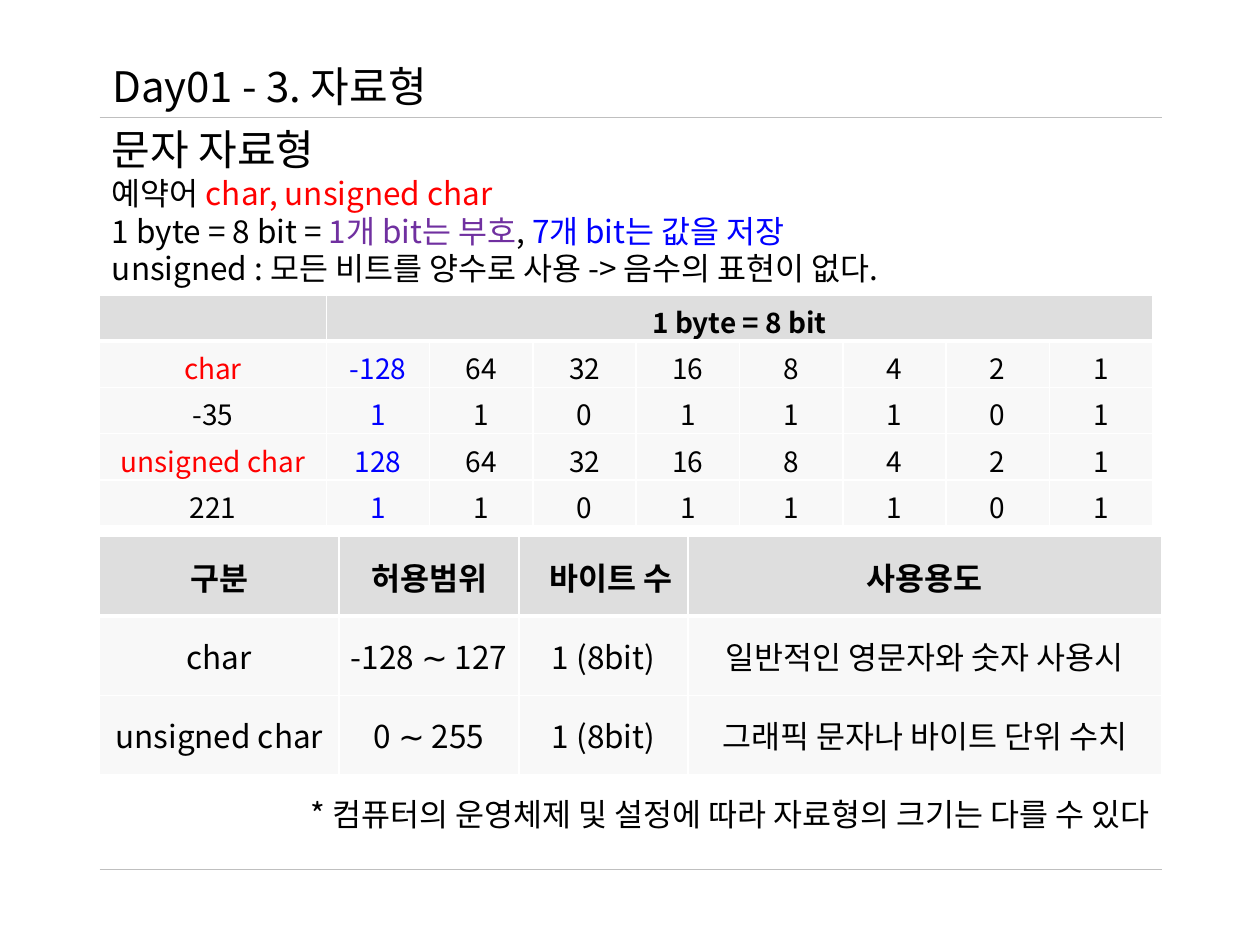
from lxml import etree
from pptx import Presentation
from pptx.dml.color import RGBColor
from pptx.enum.shapes import MSO_CONNECTOR
from pptx.enum.text import MSO_ANCHOR, PP_ALIGN
from pptx.oxml.ns import qn
from pptx.util import Inches, Pt

FONT = "Noto Sans CJK KR"
BLACK = RGBColor(0x00, 0x00, 0x00)
RED = RGBColor(0xFF, 0x00, 0x00)
BLUE = RGBColor(0x00, 0x00, 0xFF)
PURPLE = RGBColor(0x70, 0x30, 0xA0)
WHITE = RGBColor(0xFF, 0xFF, 0xFF)
GRAY = RGBColor(0xBF, 0xBF, 0xBF)
LIGHT_GRAY = RGBColor(0xF2, 0xF2, 0xF2)
LEFT, CENTER, RIGHT = PP_ALIGN.LEFT, PP_ALIGN.CENTER, PP_ALIGN.RIGHT
TOP, MIDDLE = MSO_ANCHOR.TOP, MSO_ANCHOR.MIDDLE
STRAIGHT = MSO_CONNECTOR.STRAIGHT

# Content
TITLE = "Day01 - 3. 자료형"
HEADING = "문자 자료형"
BODY = [
    [("예약어 ", BLACK), ("char, unsigned char", RED)],
    [("1 byte = 8 bit = ", BLACK), ("1개 bit는 부호", PURPLE),
     (", ", BLACK), ("7개 bit는 값을 저장", BLUE)],
    [("unsigned : 모든 비트를 양수로 사용 -> 음수의 표현이 없다.", BLACK)],
]
FOOTNOTE = "* 컴퓨터의 운영체제 및 설정에 따라 자료형의 크기는 다를 수 있다"
BITS = [1, 1, 0, 1, 1, 1, 0, 1]
WEIGHTS = [64, 32, 16, 8, 4, 2, 1]
BIT_ROWS = [
    ["", "1 byte = 8 bit"] + [""] * 7,
    ["char", -128] + WEIGHTS,
    [-35] + BITS,
    ["unsigned char", 128] + WEIGHTS,
    [221] + BITS,
]
RANGE_ROWS = [
    ["구분", "허용범위", "바이트 수", "사용용도"],
    ["char", "-128 ∼ 127", "1 (8bit)", "일반적인 영문자와 숫자 사용시"],
    ["unsigned char", "0 ∼ 255", "1 (8bit)", "그래픽 문자나 바이트 단위 수치"],
]
MARGIN, WIDTH = 0.79, 8.43


def write(paragraph, text, size=18, color=BLACK, bold=False, align=LEFT):
    paragraph.alignment = align
    run = paragraph.add_run()
    run.text = str(text)
    font = run.font
    font.name, font.size, font.bold = FONT, Pt(size), bold
    font.color.rgb = color
    east_asian = etree.SubElement(font._element, qn("a:ea"))
    east_asian.set("typeface", FONT)


def add_text_frame(slide, top, height):
    box = slide.shapes.add_textbox(Inches(MARGIN), Inches(top), Inches(WIDTH), Inches(height))
    box.text_frame.word_wrap = True
    return box.text_frame


def add_rule(slide, y):
    line = slide.shapes.add_connector(
        STRAIGHT, Inches(MARGIN), Inches(y), Inches(MARGIN + WIDTH), Inches(y))
    line.line.color.rgb = GRAY
    line.line.width = Pt(0.75)
    etree.SubElement(line._element.spPr, qn("a:effectLst"))


def style_cell(cell, fill, bottom_width):
    properties = cell._tc.get_or_add_tcPr()
    for side in ("L", "R", "T", "B"):
        border = etree.SubElement(properties, qn(f"a:ln{side}"))
        border.set("w", str(Pt(bottom_width if side == "B" else 1)))
        solid = etree.SubElement(border, qn("a:solidFill"))
        etree.SubElement(solid, qn("a:srgbClr")).set("val", str(WHITE))
    cell.fill.solid()
    cell.fill.fore_color.rgb = fill
    color = properties.find(qn("a:solidFill")).find(qn("a:srgbClr"))
    etree.SubElement(color, qn("a:alpha")).set("val", "50000")


def add_table(slide, rows, top, widths, row_height, size, inset, color_of):
    frame = slide.shapes.add_table(
        len(rows), len(widths), Inches(MARGIN), Inches(top),
        Inches(sum(widths)), Inches(row_height * len(rows)))
    table = frame.table
    for column, width in zip(table.columns, widths):
        column.width = Inches(width)
    for r, values in enumerate(rows):
        table.rows[r].height = Inches(row_height)
        for c, value in enumerate(values):
            cell = table.cell(r, c)
            header = r == 0
            cell.margin_left = cell.margin_right = Inches(inset[0])
            cell.margin_top = cell.margin_bottom = Inches(inset[1])
            cell.vertical_anchor = MIDDLE
            style_cell(cell, GRAY if header else LIGHT_GRAY, 3 if header else 1)
            paragraph = cell.text_frame.paragraphs[0]
            if value != "":
                write(paragraph, value, size=size, bold=header, align=CENTER,
                      color=color_of(r, c))
            else:
                paragraph.font.size = Pt(size)
    return table


def bit_color(row, column):
    if row and column == 1:
        return BLUE
    return RED if row in (1, 3) and column == 0 else BLACK


def main():
    presentation = Presentation()
    presentation.slide_width, presentation.slide_height = Inches(10), Inches(7.5)
    slide = presentation.slides.add_slide(presentation.slide_layouts[5])

    # Title
    title = slide.shapes.title
    title.left, title.top = Inches(MARGIN), Inches(0.43)
    title.width, title.height = Inches(WIDTH), Inches(0.5)
    title.text_frame.vertical_anchor = TOP
    title.text_frame.word_wrap = True
    write(title.text_frame.paragraphs[0], TITLE, size=24)

    # Rules below the title and above the foot
    for y in (0.93, 6.9):
        add_rule(slide, y)

    # Explanation
    text_frame = add_text_frame(slide, 0.93, 1.41)
    write(text_frame.paragraphs[0], HEADING, size=24)
    for runs in BODY:
        paragraph = text_frame.add_paragraph()
        for text, color in runs:
            write(paragraph, text, color=color)

    # Bit table
    bit_table = add_table(slide, BIT_ROWS, 2.34, [1.8] + [0.82] * 8, 0.36, 16,
                          (0.1, 0.05), bit_color)
    bit_table.cell(0, 1).merge(bit_table.cell(0, 8))

    # Range table
    range_table = add_table(slide, RANGE_ROWS, 4.26, [1.9, 1.43, 1.34, 3.76], 0.63, 18,
                            (0.07, 0), lambda row, column: BLACK)
    byte_header = range_table.cell(0, 2).text_frame.paragraphs[0]
    byte_header._p.get_or_add_pPr().set("indent", str(Inches(0.12)))

    # Footnote
    write(add_text_frame(slide, 6.26, 0.4).paragraphs[0], FOOTNOTE, align=RIGHT)

    presentation.save("out.pptx")


if __name__ == "__main__":
    main()
